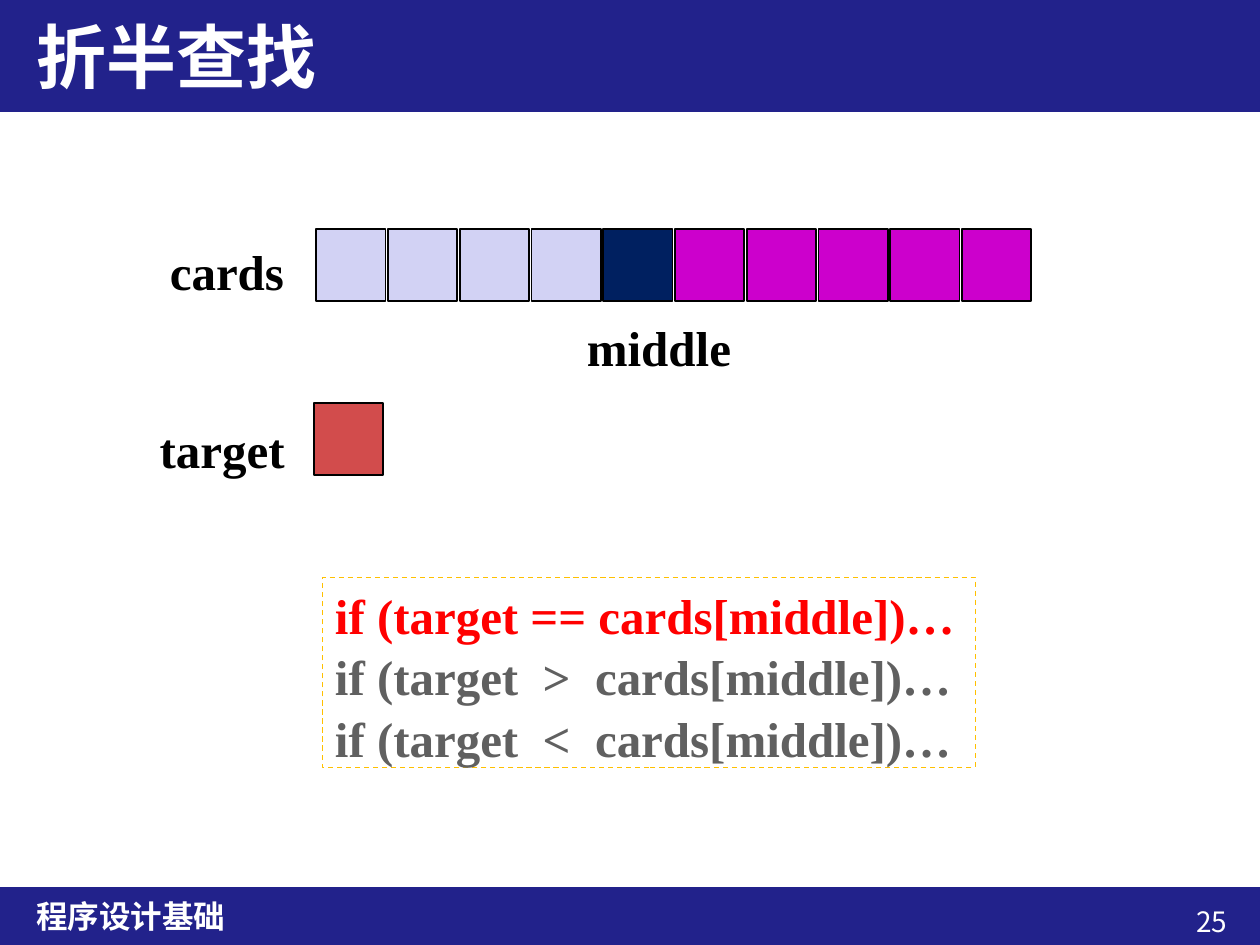
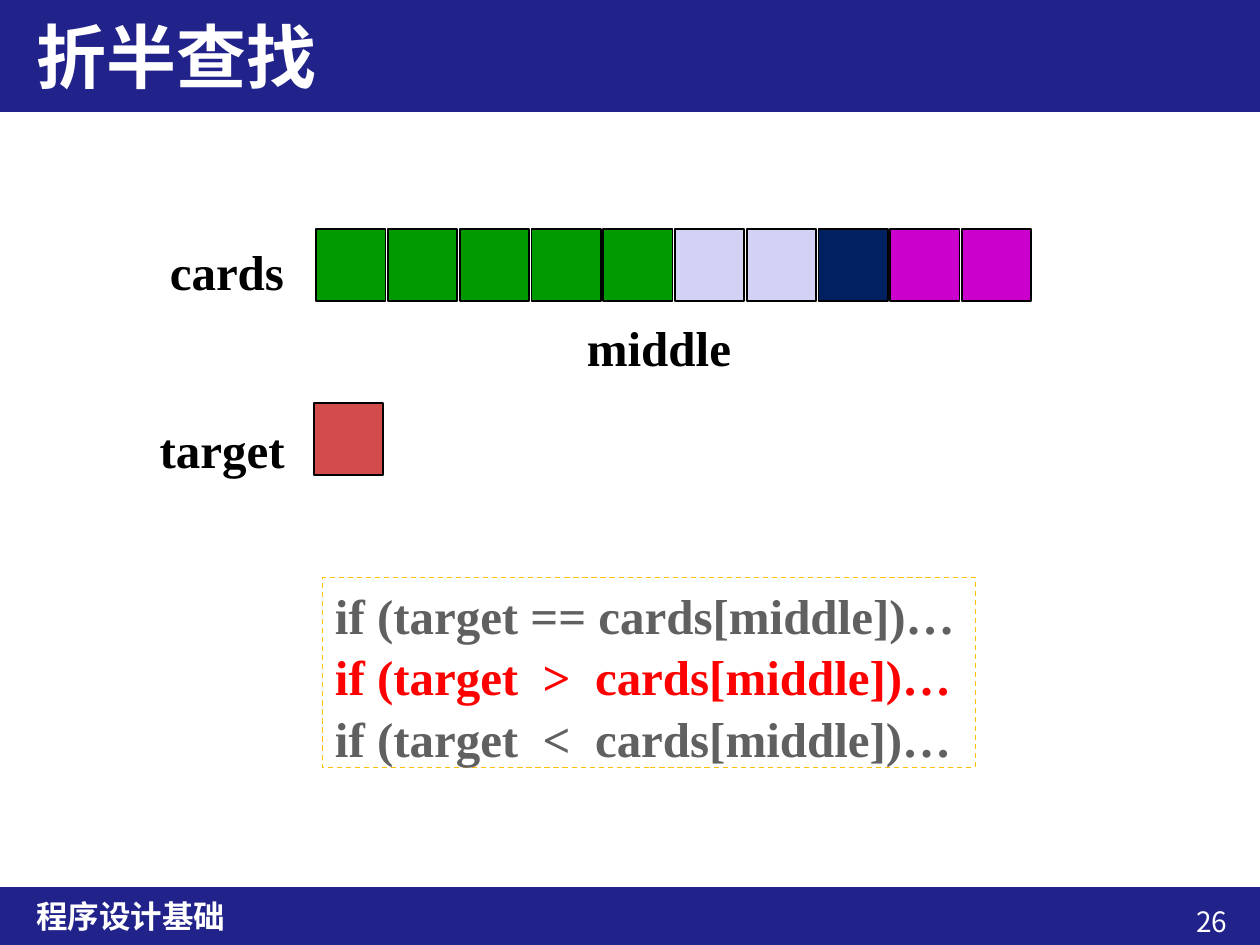
"""Two steps of a binary search, drawn as rows of cards."""
from dataclasses import dataclass

from lxml import etree
from pptx import Presentation
from pptx.dml.color import RGBColor
from pptx.enum import dml, shapes, text
from pptx.oxml.ns import qn
from pptx.util import Pt

SANS, SERIF = "Noto Sans CJK SC", "Times New Roman"
NAVY, WHITE, BLACK = "22228B", "FFFFFF", "000000"
RED, GRAY, GOLD, DARK = "FF0000", "606060", "FFC000", "C00000"
# Cards: out on the left, still open, the middle one, not yet reached
FILLS = {"L": "009900", "O": "D2D2F4", "M": "002060", "R": "CC00CC"}
CODE = [f"if (target {sign} cards[middle])…" for sign in ("==", " > ", " < ")]
CELL_W, CELL_H, PITCH = 39.6, 41, 41


@dataclass
class Box:
    """A frame in points."""
    x: float
    y: float
    w: float
    h: float

    def args(self) -> list:
        """Return the frame as lengths."""
        return [Pt(v) for v in (self.x, self.y, self.w, self.h)]


@dataclass
class Style:
    """The look of a text."""
    font: str
    size: float
    color: str
    bold: bool = True


@dataclass
class Step:
    """One stage of the search."""
    page: int
    cards: str
    hit: int


HEAD = Style(SANS, 40, WHITE)
FOOT = Style(SANS, 18, WHITE)
PAGE = Style(SANS, 16, WHITE, False)
LABEL = Style(SERIF, 28, BLACK)
TITLE_BOX = Box(13.7, 0, 691, 64)
BANDS = [Box(-0.7, 507, 721, 33), Box(-0.7, 0, 721, 64)]
LABELS = {"cards": Box(90, 133.2, 80.6, 41),
          "target": Box(84.2, 234.7, 86.4, 41),
          "middle": Box(328.3, 176.4, 98, 41)}
STEPS = [Step(25, "OOOOMRRRRR", 0), Step(26, "LLLLLOOMRR", 1)]


def rgb(code: str) -> RGBColor:
    """Turn a hex string into a colour."""
    return RGBColor.from_string(code)


def ink(para, style: Style) -> None:
    """Format all runs of a paragraph."""
    for run in para.runs:
        font = run.font
        font.size, font.bold = Pt(style.size), style.bold
        font.color.rgb = rgb(style.color)
        font.name = style.font
        east = etree.SubElement(run.font._element, qn("a:ea"))
        east.set("typeface", style.font)


def rect(slide, box: Box, fill: str = "", line: str = "", width: float = 1):
    """Draw a plain rectangle."""
    shape = slide.shapes.add_shape(shapes.MSO_SHAPE.RECTANGLE, *box.args())
    shape.shadow.inherit = False
    if fill:
        shape.fill.solid()
        shape.fill.fore_color.rgb = rgb(fill)
    else:
        shape.fill.background()
    if line:
        shape.line.color.rgb = rgb(line)
        shape.line.width = Pt(width)
    else:
        shape.line.fill.background()
    return shape


def write(slide, box: Box, words: str, style: Style, wrap: bool = False):
    """Add a text box with one paragraph."""
    shape = slide.shapes.add_textbox(*box.args())
    frame = shape.text_frame
    frame.word_wrap = wrap
    frame.text = words
    ink(frame.paragraphs[0], style)
    return shape


def frame_up(slide, layout) -> None:
    """Give the layout its bands and footer, built on a slide first."""
    parts = [rect(slide, box, NAVY) for box in BANDS]
    foot = write(slide, Box(13.7, 507, 691, 33), "程序设计基础", FOOT, True)
    foot.text_frame.vertical_anchor = text.MSO_ANCHOR.MIDDLE
    tree = layout.shapes.element
    for i, part in enumerate(parts + [foot]):
        part.element.nvSpPr.cNvPr.set("id", str(20 + i))
        tree.insert(2 + i, part.element)


def head(slide) -> None:
    """Fill the title placeholder."""
    title = slide.shapes.title
    title.left, title.top, title.width, title.height = TITLE_BOX.args()
    frame = title.text_frame
    frame.text = "折半查找"
    frame.auto_size = text.MSO_AUTO_SIZE.NONE
    frame.vertical_anchor = text.MSO_ANCHOR.MIDDLE
    frame.paragraphs[0].alignment = text.PP_ALIGN.LEFT
    ink(frame.paragraphs[0], HEAD)


def row(slide, cards: str) -> None:
    """Draw the row of cards."""
    for i, kind in enumerate(cards):
        box = Box(180.7 + i * PITCH, 131, CELL_W, CELL_H)
        rect(slide, box, FILLS[kind], BLACK)


def target(slide) -> None:
    """Draw the half-clear card that is looked for."""
    card = rect(slide, Box(179.3, 230.4, CELL_W, CELL_H), DARK, BLACK)
    color = card.fill._xPr.find(qn("a:solidFill"))[0]
    etree.SubElement(color, qn("a:alpha")).set("val", "70000")


def code(slide, hit: int) -> None:
    """Write the tests in a dashed box, with the active one in red."""
    box = rect(slide, Box(184.3, 329.8, 373, 108.7), "", GOLD, 0.75)
    box.line.dash_style = dml.MSO_LINE.DASH
    frame = box.text_frame
    frame.word_wrap = False
    frame.vertical_anchor = text.MSO_ANCHOR.TOP
    frame.text = "\n".join(CODE)
    for i, para in enumerate(frame.paragraphs):
        para.alignment = text.PP_ALIGN.LEFT
        para.line_spacing = 1.04
        ink(para, Style(SERIF, 28, RED if i == hit else GRAY))


def main() -> None:
    """Build and save the slides."""
    deck = Presentation()
    deck.slide_width, deck.slide_height = Pt(720), Pt(540)
    layout = deck.slide_layouts[5]
    for step in STEPS:
        slide = deck.slides.add_slide(layout)
        if step is STEPS[0]:
            frame_up(slide, layout)
        head(slide)
        row(slide, step.cards)
        target(slide)
        for word, box in LABELS.items():
            label = write(slide, box, word, LABEL)
            label.text_frame.paragraphs[0].line_spacing = 1.04
        code(slide, step.hit)
        page = write(slide, Box(618.5, 513.4, 90, 26.6), str(step.page), PAGE, True)
        page.text_frame.paragraphs[0].alignment = text.PP_ALIGN.RIGHT
    deck.save("out.pptx")


main()
